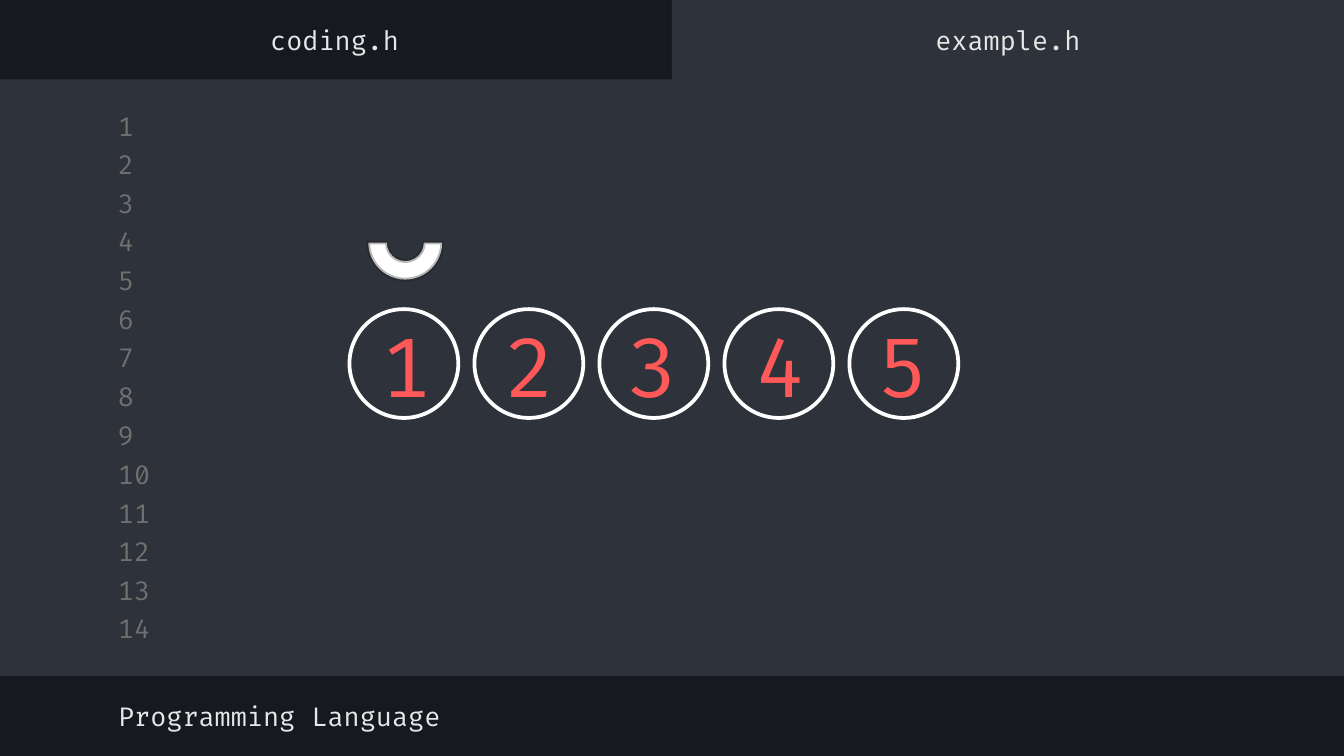
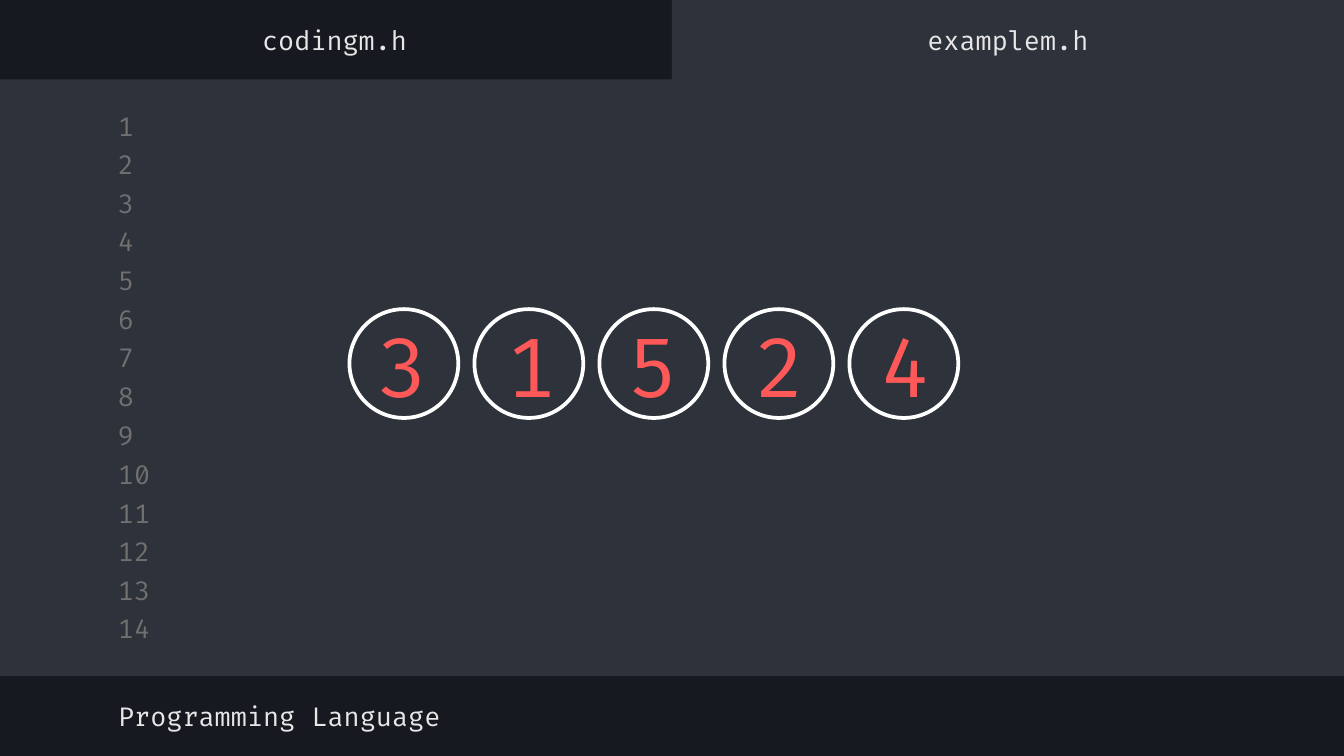
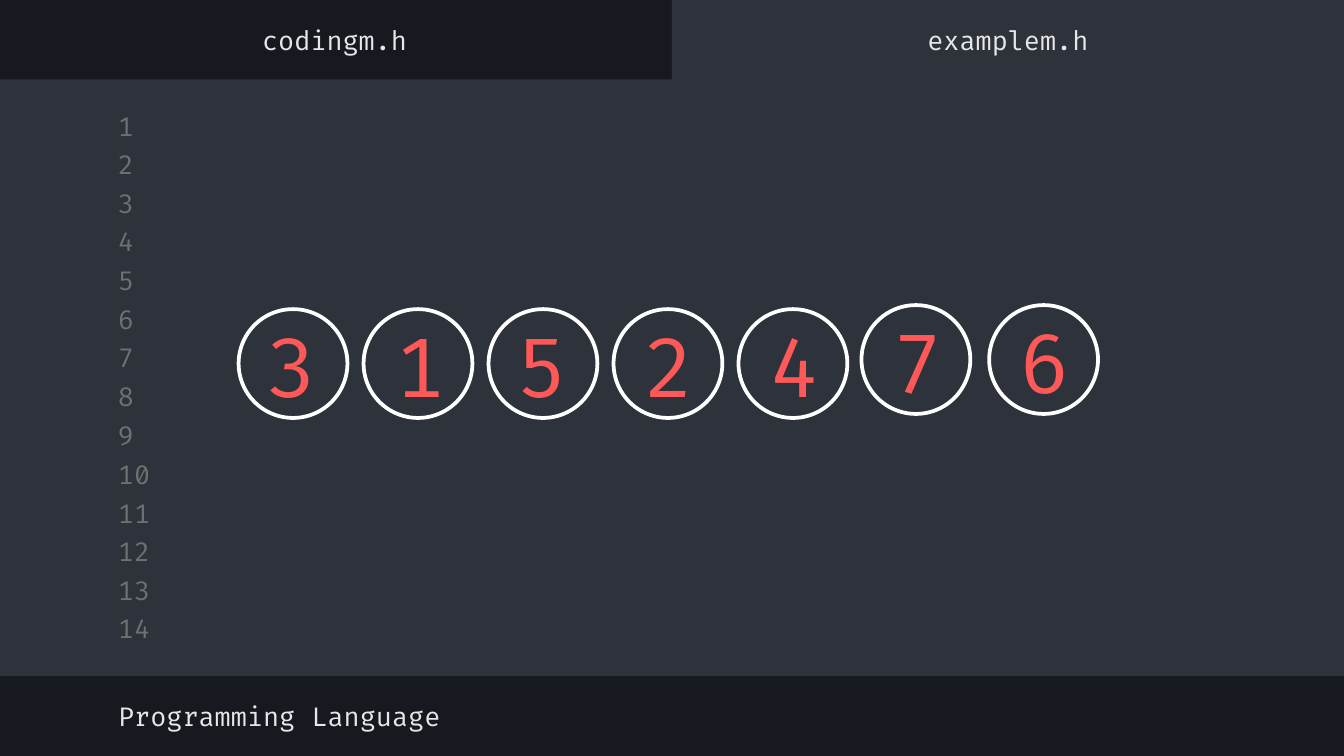
from dataclasses import dataclass

import pptx
import pptx.dml.color
import pptx.enum.shapes
import pptx.enum.text
import pptx.oxml
import pptx.oxml.ns
import pptx.shapes.autoshape
import pptx.slide
import pptx.text.text
import pptx.util

PX = 4572  # EMU, 200 px to the inch
SHAPE = pptx.enum.shapes.MSO_SHAPE
ALIGN = pptx.enum.text.PP_ALIGN
ANCHOR = pptx.enum.text.MSO_ANCHOR
AUTO_SIZE = pptx.enum.text.MSO_AUTO_SIZE


@dataclass(frozen=True)
class Theme:
    font: str = "Fira Code"
    frame: str = "16191F"
    editor: str = "2E323B"
    line_number: str = "707070"
    label: str = "E7E7E7"
    digit: str = "FF5858"
    ring: str = "FFFFFF"
    arc_line: str = "171717"
    label_size: int = 14
    digit_size: int = 44
    line_width: int = 2


@dataclass(frozen=True)
class Box:
    left: int
    top: int
    width: int
    height: int

    def emu(self) -> tuple[int, ...]:
        return tuple(n * PX for n in (self.left, self.top, self.width, self.height))


@dataclass(frozen=True)
class BallRow:
    digits: str
    left: int
    top: int = 460
    pitch: int = 186


@dataclass(frozen=True)
class Page:
    left_tab: str
    right_tab: str
    rows: tuple[BallRow, ...]
    arc: Box | None = None


THEME = Theme()
FOOTER = "Programming Language"
LINE_COUNT = 14
BANDS = (Box(0, 118, 2000, 888), Box(1000, 0, 1000, 130))
LEFT_TAB = Box(-2, 20, 1000, 78)
RIGHT_TAB = Box(1000, 20, 1000, 78)
FOOTER_BOX = Box(156, 1026, 1064, 78)
BALL = 162
DIGIT_INSET = {"1": 28, "3": 22, "5": 22}
DEFAULT_INSET = 26

PAGES = (
    Page("coding.h", "example.h", (BallRow("12345", 520),), Box(548, 306, 110, 110)),
    Page("codingm.h", "examplem.h", (BallRow("31524", 520),)),
    Page("codingm.h", "examplem.h",
         (BallRow("31524", 355), BallRow("76", 1282, top=454, pitch=190))),
)


def rgb(color: str) -> pptx.dml.color.RGBColor:
    return pptx.dml.color.RGBColor.from_string(color)


def write_text(tf: pptx.text.text.TextFrame, text: str, *, size: int = THEME.label_size,
               color: str = THEME.label, align: ALIGN = ALIGN.LEFT,
               anchor: ANCHOR = ANCHOR.MIDDLE, fit: AUTO_SIZE = AUTO_SIZE.NONE,
               inset: tuple[int, int] = (20, 20)) -> None:
    """Fill a text frame with one run; inset is horizontal, then vertical."""
    tf.word_wrap = True
    tf.auto_size = fit
    tf.vertical_anchor = anchor
    tf.margin_left = tf.margin_right = inset[0] * PX
    tf.margin_top = tf.margin_bottom = inset[1] * PX
    p = tf.paragraphs[0]
    p.alignment = align
    r = p.add_run()
    r.text = text
    r.font.name = THEME.font
    r.font.size = pptx.util.Pt(size)
    r.font.color.rgb = rgb(color)


def add_label(slide: pptx.slide.Slide, box: Box, text: str, **style) -> None:
    write_text(slide.shapes.add_textbox(*box.emu()).text_frame, text, **style)


def add_shape(shapes, kind: SHAPE, box: Box, *, fill: str | None = None,
              line: str | None = None) -> pptx.shapes.autoshape.Shape:
    sp = shapes.add_shape(kind, *box.emu())
    sp.shadow.inherit = False
    if fill:
        sp.fill.solid()
        sp.fill.fore_color.rgb = rgb(fill)
    else:
        sp.fill.background()
    if line:
        sp.line.color.rgb = rgb(line)
        sp.line.width = pptx.util.Pt(THEME.line_width)
    else:
        sp.line.fill.background()
    return sp


def add_editor(slide: pptx.slide.Slide) -> None:
    """Draw the bands and the column of line numbers."""
    for band in BANDS:
        add_shape(slide.shapes, SHAPE.RECTANGLE, band, fill=THEME.editor)
    for i in range(LINE_COUNT):
        add_label(slide, Box(156, 163 + i * 288 // 5, 94, 48), str(i + 1),
                  color=THEME.line_number)


def add_tabs_and_footer(slide: pptx.slide.Slide, page: Page) -> None:
    title = slide.shapes.title
    title.left, title.top, title.width, title.height = LEFT_TAB.emu()
    write_text(title.text_frame, page.left_tab, align=ALIGN.CENTER)
    add_label(slide, RIGHT_TAB, page.right_tab, align=ALIGN.CENTER)
    add_label(slide, FOOTER_BOX, FOOTER)


def add_ball_row(slide: pptx.slide.Slide, row: BallRow) -> None:
    for i, digit in enumerate(row.digits):
        left = row.left + i * row.pitch
        ball = slide.shapes.add_group_shape()
        add_shape(ball.shapes, SHAPE.FLOWCHART_CONNECTOR,
                  Box(left, row.top, BALL, BALL), line=THEME.ring)
        box = Box(left + DIGIT_INSET.get(digit, DEFAULT_INSET), row.top, 110, 168)
        write_text(ball.shapes.add_textbox(*box.emu()).text_frame, digit,
                   size=THEME.digit_size, color=THEME.digit, anchor=ANCHOR.TOP,
                   fit=AUTO_SIZE.SHAPE_TO_FIT_TEXT, inset=(20, 10))


def add_arc(slide: pptx.slide.Slide, box: Box) -> None:
    """Draw the cup-shaped marker with a translucent outline."""
    sp = add_shape(slide.shapes, SHAPE.BLOCK_ARC, box, fill=THEME.ring, line=THEME.arc_line)
    sp.rotation = 180
    qn = pptx.oxml.ns.qn
    color = sp.element.spPr.find(f"{qn('a:ln')}/{qn('a:solidFill')}/{qn('a:srgbClr')}")
    color.append(pptx.oxml.parse_xml(
        f'<a:alpha {pptx.oxml.ns.nsdecls("a")} val="30000"/>'))


def main() -> None:
    prs = pptx.Presentation()
    prs.slide_width, prs.slide_height = 2000 * PX, 1125 * PX
    background = prs.slide_master.background.fill
    background.solid()
    background.fore_color.rgb = rgb(THEME.frame)
    layout = prs.slide_layouts.get_by_name("Title Only")
    for page in PAGES:
        slide = prs.slides.add_slide(layout)
        add_editor(slide)
        add_tabs_and_footer(slide, page)
        for row in page.rows:
            add_ball_row(slide, row)
        if page.arc:
            add_arc(slide, page.arc)
    prs.save("out.pptx")


if __name__ == "__main__":
    main()
